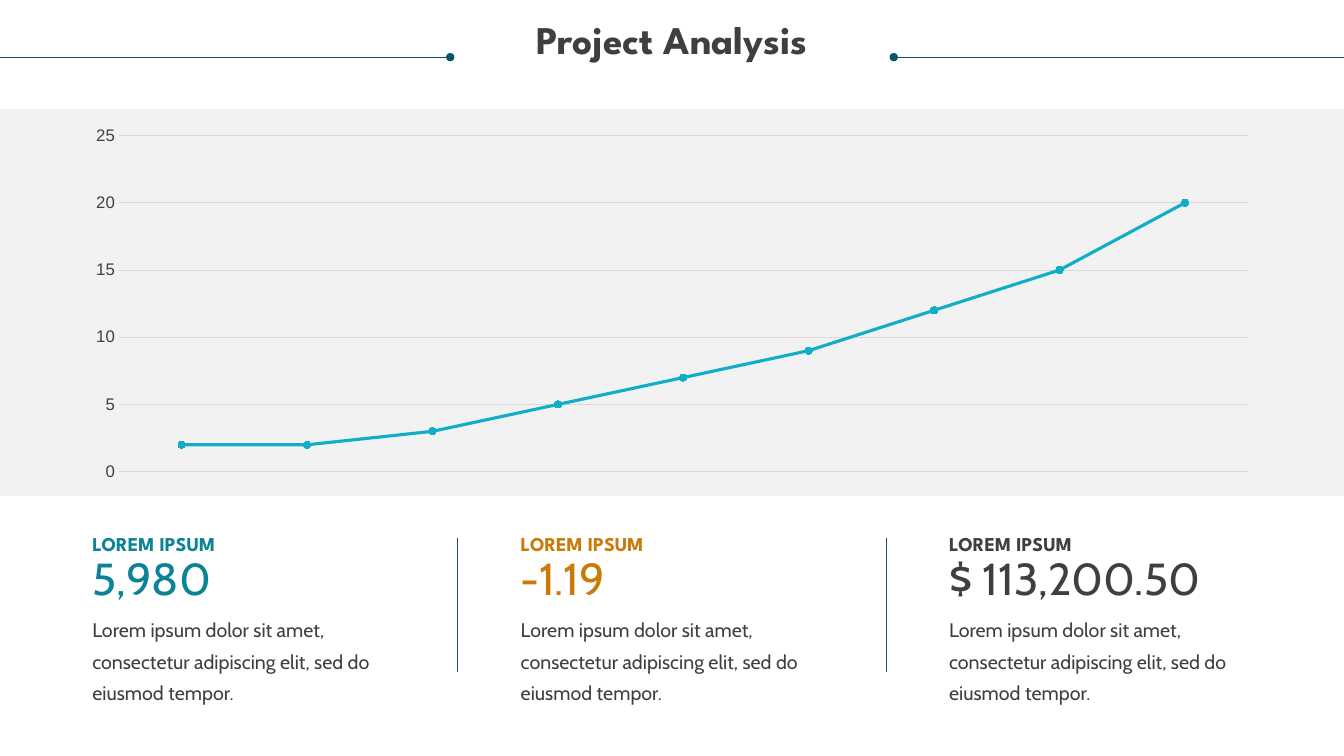
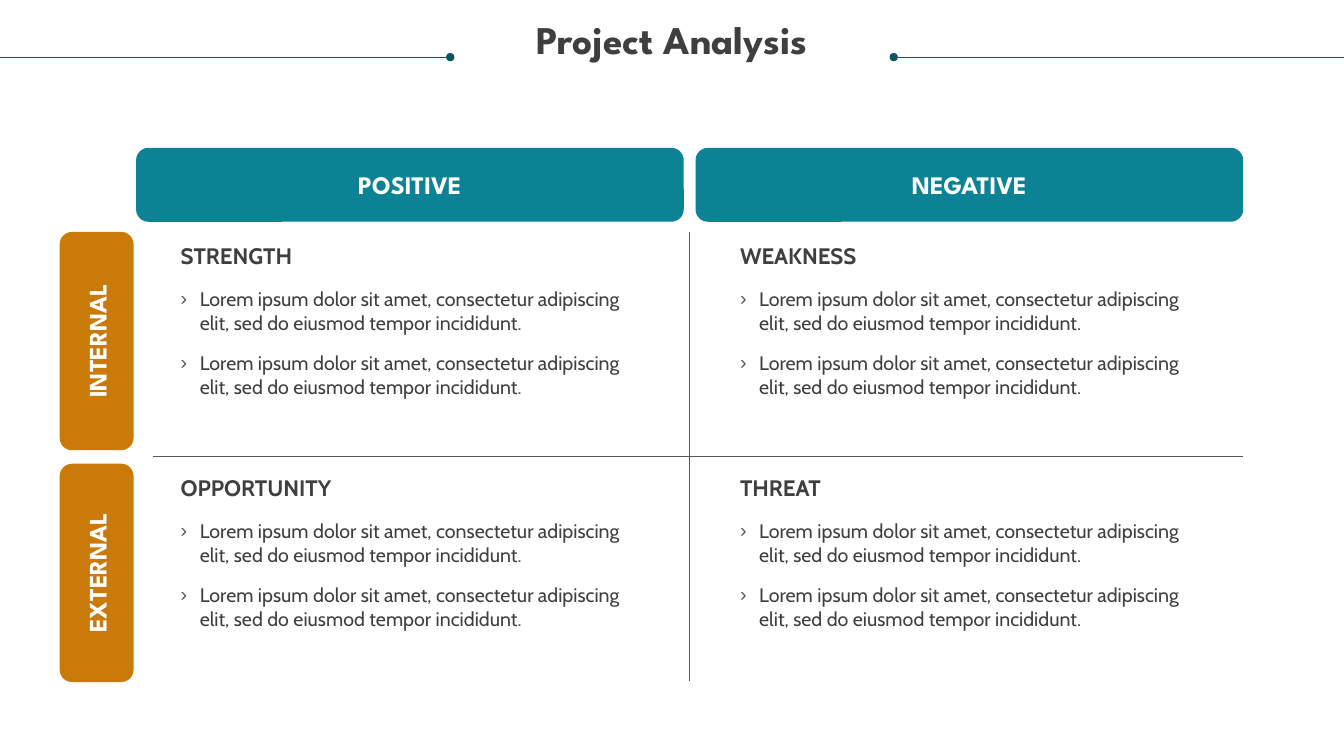
"""Build two project analysis slides: a growth chart with key figures and a SWOT matrix."""
from lxml.etree import SubElement
from pptx import Presentation
from pptx.chart.data import CategoryChartData
from pptx.dml.color import RGBColor
from pptx.enum.chart import XL_CHART_TYPE as ChartType, XL_MARKER_STYLE as Marker, XL_TICK_MARK as Tick
from pptx.enum.shapes import MSO_CONNECTOR as Connector, MSO_SHAPE as Shape
from pptx.enum.text import MSO_ANCHOR as Anchor, MSO_AUTO_SIZE as AutoSize, PP_ALIGN as Align
from pptx.oxml.ns import qn
from pptx.util import Inches, Pt

HEXES = {
    "ink": "3F3F3F", "teal": "0C8295", "amber": "CA7A09", "deep": "085763", "grey": "585858",
    "band": "F2F2F2", "curve": "11AEC7", "grid": "D9D9D9", "axis": "404040", "white": "FFFFFF",
}
COLORS = {name: RGBColor.from_string(value) for name, value in HEXES.items()}
HEAD, BODY = "League Spartan", "Cabin"
COLUMNS, ROWS = 160, 90
CELL = Inches(7.5) // ROWS
LOREM = "Lorem ipsum dolor sit amet, consectetur adipiscing elit, sed do eiusmod tempor"


def cells(*counts):
    """Turn grid counts into lengths."""
    return [round(count * CELL) for count in counts]


def write(box, area, lines, size, color="ink", font=BODY, bold=False, align=Align.LEFT,
          spacing=1.0, anchor=Anchor.TOP, bullet=None):
    """Place a box on the grid and fill it with formatted paragraphs."""
    box.left, box.top, box.width, box.height = cells(*area)
    frame = box.text_frame
    frame.word_wrap, frame.auto_size, frame.vertical_anchor = True, AutoSize.NONE, anchor
    frame.margin_left = frame.margin_top = frame.margin_right = frame.margin_bottom = 0
    for index, line in enumerate(lines):
        para = frame.add_paragraph() if index else frame.paragraphs[0]
        para.alignment, para.line_spacing = align, spacing
        para.space_before = Pt(12 if index else 0)
        if bullet:
            props = para._p.get_or_add_pPr()
            props.set("marL", str(Inches(0.19)))
            props.set("indent", str(-Inches(0.19)))
            SubElement(SubElement(props, qn("a:buClr")), qn("a:srgbClr"), val=HEXES["grey"])
            SubElement(props, qn("a:buChar"), char=bullet)
        span = para.add_run()
        span.text = line
        span.font.name, span.font.size, span.font.bold = font, Pt(size), bold
        span.font.color.rgb = COLORS[color]


deck = Presentation()
deck.slide_width, deck.slide_height = cells(COLUMNS, ROWS)
chart_page = deck.slides.add_slide(deck.slide_layouts.get_by_name("Title Only"))
swot_page = deck.slides.add_slide(deck.slide_layouts.get_by_name("Comparison"))
rules = []

for page in deck.slides:
    write(page.shapes.title, (3, 2.5, COLUMNS - 6, 9), ["Project Analysis"], 28,
          font=HEAD, bold=True, align=Align.CENTER, spacing=0.9)
    rules += [(page, "deep", (0, 6.8, 53.6, 6.8), True),
              (page, "deep", (COLUMNS, 6.8, COLUMNS - 53.6, 6.8), True)]

band = chart_page.shapes.add_shape(Shape.RECTANGLE, *cells(0, 13, COLUMNS, 46))
band.shadow.inherit = False
band.fill.solid()
band.fill.fore_color.rgb = COLORS["band"]
band.line.fill.background()

data = CategoryChartData()
data.categories = [str(number) for number in range(1, 10)]
data.add_series("Series 1", (2, 2, 3, 5, 7, 9, 12, 15, 20))
chart = chart_page.shapes.add_chart(
    ChartType.LINE_MARKERS, *cells(8.6, 14.2, 142.8, 43.9), data).chart
chart.has_title = chart.has_legend = False
chart.font.name, chart.font.size = "Arial", Pt(12)
chart.font.color.rgb = COLORS["axis"]
chart.category_axis.visible = False
values = chart.value_axis
values.minimum_scale, values.maximum_scale, values.major_unit = 0, 25, 5
values.major_tick_mark = values.minor_tick_mark = Tick.NONE
values.format.line.fill.background()
values.major_gridlines.format.line.color.rgb = COLORS["grid"]
values.major_gridlines.format.line.width = Pt(0.75)
chart.plots[0].vary_by_categories = False
series = chart.plots[0].series[0]
series.smooth = False
series.format.line.color.rgb = COLORS["curve"]
series.format.line.width = Pt(2.25)
series.marker.style, series.marker.size = Marker.CIRCLE, 5
series.marker.format.fill.solid()
series.marker.format.fill.fore_color.rgb = COLORS["curve"]
series.marker.format.line.color.rgb = COLORS["curve"]

figures = [("5,980", "teal"), ("-1.19", "amber"), ("$ 113,200.50", "ink")]
for index, (figure, color) in enumerate(figures):
    left = 11 + 51 * index
    label, number, note = [chart_page.shapes.add_textbox(0, 0, 0, 0) for _ in range(3)]
    write(label, (left, 62.3, 36, 2.9), ["LOREM IPSUM"], 14, color, HEAD, True, spacing=1.36)
    write(number, (left, 65.6, 36, 6.5), [figure], 32, color)
    write(note, (left, 72.5, 36, 9.4), [LOREM + "."], 14, spacing=1.36)
    if index:
        rules.append((chart_page, "deep", (left - 7.5, 64, left - 7.5, 80), False))

tabs = [("POSITIVE", "teal", (16.2, 17.6, 65.2, 8.8), 0),
        ("NEGATIVE", "teal", (82.8, 17.6, 65.2, 8.8), 0),
        ("INTERNAL", "amber", (-1.5, 36.2, 26, 8.8), 270),
        ("EXTERNAL", "amber", (-1.5, 63.8, 26, 8.8), 270)]
for name, color, area, angle in tabs:
    tab = swot_page.shapes.add_shape(Shape.ROUNDED_RECTANGLE, 0, 0, 0, 0)
    write(tab, area, [name], 18, "white", HEAD, True, Align.CENTER, anchor=Anchor.MIDDLE)
    tab.adjustments[0] = 0.167
    tab.rotation = angle
    tab.shadow.inherit = False
    tab.fill.solid()
    tab.fill.fore_color.rgb = COLORS[color]
    tab.line.fill.background()

rules += [(swot_page, "grey", (18.2, 54.4, 148, 54.4), False),
          (swot_page, "grey", (82.1, 27.6, 82.1, 81.1), False)]

topics = ["STRENGTH", "WEAKNESS", "OPPORTUNITY", "THREAT"]
bodies = [box for box in swot_page.placeholders if box.placeholder_format.idx]
for index, (topic, body) in enumerate(zip(topics, bodies)):
    row, column = divmod(index, 2)
    left, top = 21.5 + 66.6 * column, 28.8 + 27.6 * row
    heading = swot_page.shapes.add_textbox(0, 0, 0, 0)
    write(heading, (left, top, 54.6, 3.2), [topic], 16, bold=True)
    write(body, (left, top + 5.4, 54.6, 13.3), [LOREM + " incididunt."] * 2, 14, bullet="›")

for page, color, ends, dotted in rules:
    rule = page.shapes.add_connector(Connector.STRAIGHT, *cells(*ends))
    rule.line.color.rgb = COLORS[color]
    rule.line.width = Pt(0.75)
    if dotted:
        SubElement(rule.line._get_or_add_ln(), qn("a:tailEnd"), type="oval")
    SubElement(rule._element.spPr, qn("a:effectLst"))

deck.save("out.pptx")
